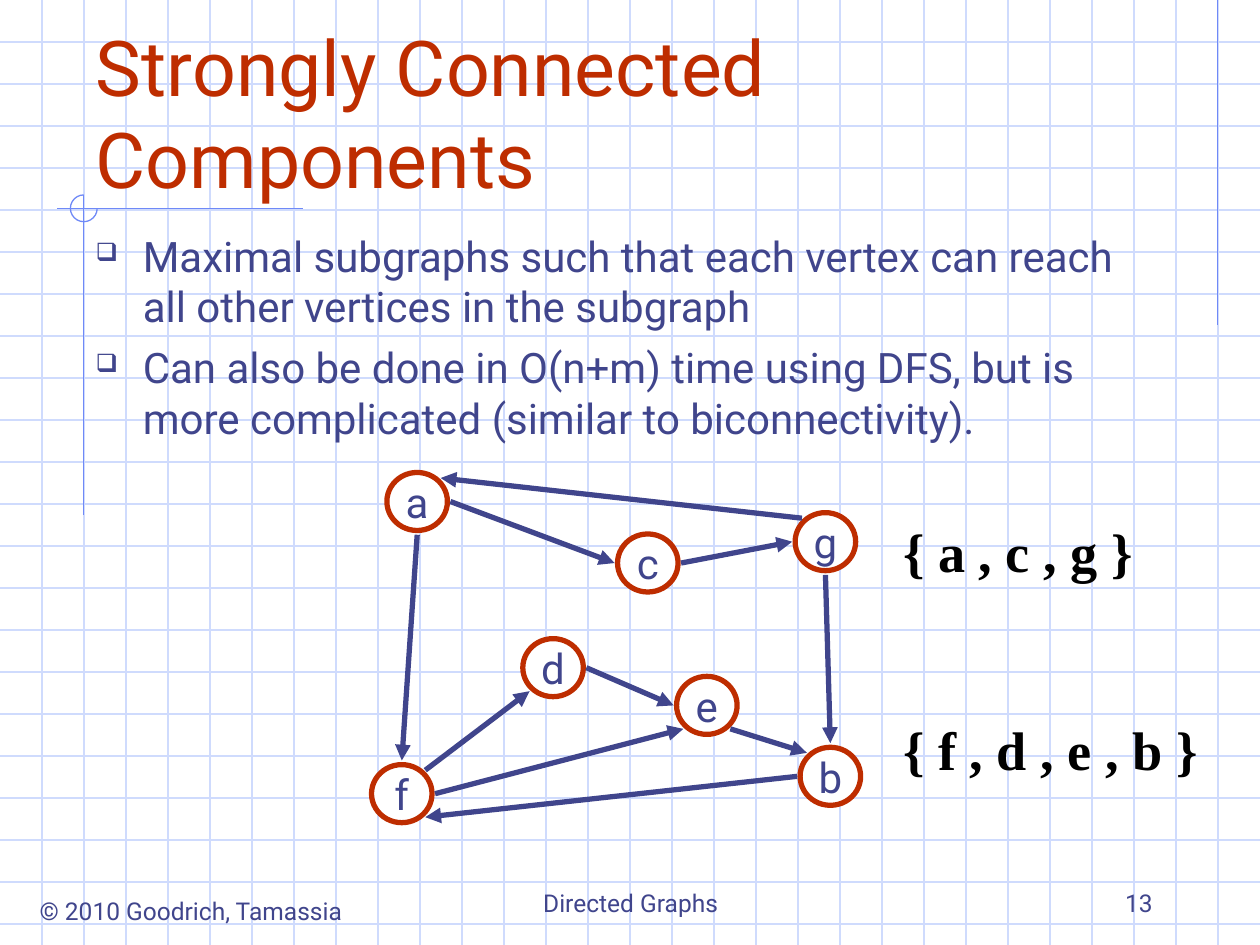
from lxml.etree import SubElement
from pptx import Presentation
from pptx.dml.color import RGBColor
from pptx.enum.shapes import MSO_CONNECTOR, MSO_SHAPE
from pptx.enum.text import MSO_ANCHOR, MSO_AUTO_SIZE, PP_ALIGN
from pptx.oxml.ns import qn
from pptx.util import Cm, Pt

# Content
TITLE = "Strongly Connected Components"
POINTS = [
    "Maximal subgraphs such that each vertex can reach all other vertices in the subgraph",
    "Can also be done in O(n+m) time using DFS, but is more complicated "
    "(similar to biconnectivity).",
]
SETS = [("{ a , c , g }", 10.44), ("{ f , d , e , b }", 14.43)]  # text, top
FOOT = [  # text, box, alignment, anchor
    ("© 2010 Goodrich, Tamassia", (0.41, 17.93, 6.88, 0.86), PP_ALIGN.CENTER, MSO_ANCHOR.TOP),
    ("Directed Graphs", (8.69, 17.35, 8.05, 1.27), PP_ALIGN.CENTER, MSO_ANCHOR.BOTTOM),
    ("13", (18.21, 17.35, 5.28, 1.27), PP_ALIGN.RIGHT, MSO_ANCHOR.BOTTOM),
]
NODES = {  # vertex: centre
    "a": (8.41, 10.11), "d": (11.15, 13.46), "c": (13.06, 11.35),
    "b": (16.74, 15.65), "e": (14.25, 14.22), "f": (8.1, 16), "g": (16.64, 10.92),
}
EDGES = [  # vertex and side at each end
    ("a", "S", "f", "N"), ("a", "E", "c", "W"), ("g", "NW", "a", "NE"),
    ("c", "E", "g", "W"), ("g", "S", "b", "N"), ("d", "E", "e", "W"),
    ("e", "SE", "b", "NW"), ("f", "NE", "d", "SW"), ("f", "E", "e", "SW"),
    ("b", "W", "f", "SE"),
]

THEME = {
    "font": "Roboto", "serif": "Times New Roman",
    "ink": "40458C", "red": "BE2D00", "grid": "CFDBFD", "rule": "6F89F7",
    "white": "FFFFFF", "black": "000000",
    "head": 44, "set": 31, "body": 24, "foot": 14, "thin": 0.75, "thick": 3,
}
WIDE, HIGH, STEP = 25.4, 19.05, 25.4 / 30
NODE_W, NODE_H, REACH = 1.22, 1.17, 0.67
SIDES = {"N": (0, -1), "S": (0, 1), "E": (1, 0), "W": (-1, 0)}


def color(name):
    return RGBColor.from_string(THEME[name])


def style(para, size, ink="ink", font="font", bold=False):
    para.font.name = THEME[font]
    para.font.size = Pt(THEME[size])
    para.font.color.rgb = color(ink)
    para.font.bold = bold


def stroke(shape, ink, width):
    shape.line.color.rgb = color(ink)
    shape.line.width = Pt(THEME[width])


def draw_line(shapes, start, end, ink, width="thin", arrow=False):
    line = shapes.add_connector(MSO_CONNECTOR.STRAIGHT, *map(Cm, start + end))
    stroke(line, ink, width)
    props = line.element.spPr
    if arrow:
        SubElement(props.get_or_add_ln(), qn("a:tailEnd"), type="triangle")
    SubElement(props, qn("a:effectLst"))


def add_text(shapes, box, text, size, align=PP_ALIGN.LEFT, anchor=MSO_ANCHOR.TOP, **look):
    frame = shapes.add_textbox(*map(Cm, box)).text_frame
    frame.word_wrap = True
    frame.vertical_anchor = anchor
    para = frame.paragraphs[0]
    para.text, para.alignment = text, align
    style(para, size, **look)
    return frame


def add_bullet(para):
    props = para._p.get_or_add_pPr()
    props.set("marL", str(Cm(0.95)))
    props.set("indent", str(Cm(-0.95)))
    tint = SubElement(props, qn("a:buClr"))
    SubElement(tint, qn("a:srgbClr"), val=THEME["ink"])
    SubElement(props, qn("a:buSzPct"), val="60000")
    SubElement(props, qn("a:buChar"), char="❑")


def find_port(node, side):
    x, y = NODES[node]
    scale = REACH / len(side) ** 0.5
    return (x + scale * sum(SIDES[s][0] for s in side),
            y + scale * sum(SIDES[s][1] for s in side))


def draw_back(shapes):
    # Squared paper
    for i in range(1, 23):
        draw_line(shapes, (0, i * STEP), (WIDE, i * STEP), "grid")
    for i in range(1, 30):
        draw_line(shapes, (i * STEP, 0), (i * STEP, HIGH), "grid")
    # Margin rules and corner arc
    draw_line(shapes, (24.55, 0), (24.55, 6.55), "rule")
    draw_line(shapes, (6.1, 4.21), (1.14, 4.21), "rule")
    draw_line(shapes, (1.69, 3.94), (1.69, 10.39), "rule")
    arc = shapes.add_shape(MSO_SHAPE.ARC, Cm(1.42), Cm(3.93), Cm(0.54), Cm(0.54))
    arc.adjustments[0], arc.adjustments[1] = 0, 162
    arc.shadow.inherit = False
    arc.fill.background()
    stroke(arc, "rule", "thin")


def draw_words(slide):
    shapes = slide.shapes
    # Footer
    for text, box, align, anchor in FOOT:
        add_text(shapes, box, text, "foot", align, anchor)
    # Bullets
    frame = shapes.add_textbox(Cm(1.68), Cm(4.52), Cm(21.62), Cm(6.68)).text_frame
    frame.word_wrap = True
    for i, text in enumerate(POINTS):
        para = frame.add_paragraph() if i else frame.paragraphs[0]
        para.text = text
        add_bullet(para)
        if i:
            para.space_before = Pt(6)
        style(para, "body")
    # Title, in front of the grid
    title = shapes.title
    title.left, title.top, title.width, title.height = map(Cm, (1.68, 0.43, 20.55, 3.81))
    frame = title.text_frame
    frame.text = TITLE
    frame.auto_size = MSO_AUTO_SIZE.NONE
    frame.vertical_anchor = MSO_ANCHOR.BOTTOM
    frame.paragraphs[0].alignment = PP_ALIGN.LEFT
    style(frame.paragraphs[0], "head", "red")
    title.element.getparent().append(title.element)
    # Component sets, each on one line
    for text, top in SETS:
        frame = add_text(shapes, (18.21, top, 6.8, 1.32), text, "set",
                         ink="black", font="serif", bold=True)
        frame.margin_left = frame.margin_right = frame.margin_top = frame.margin_bottom = 0


def draw_graph(shapes):
    # Vertices
    for name, (x, y) in NODES.items():
        node = shapes.add_shape(MSO_SHAPE.OVAL, Cm(x - NODE_W / 2), Cm(y - NODE_H / 2),
                                Cm(NODE_W), Cm(NODE_H))
        node.shadow.inherit = False
        node.fill.solid()
        node.fill.fore_color.rgb = color("white")
        stroke(node, "red", "thick")
        frame = node.text_frame
        frame.text = name
        frame.word_wrap = False
        frame.vertical_anchor = MSO_ANCHOR.MIDDLE
        frame.paragraphs[0].alignment = PP_ALIGN.CENTER
        style(frame.paragraphs[0], "body")
    # Edges
    for tail, out, head, into in EDGES:
        draw_line(shapes, find_port(tail, out), find_port(head, into), "ink", "thick", True)


def main():
    deck = Presentation()
    deck.slide_width, deck.slide_height = Cm(WIDE), Cm(HIGH)
    slide = deck.slides.add_slide(deck.slide_layouts[5])
    draw_back(slide.shapes)
    draw_words(slide)
    draw_graph(slide.shapes)
    deck.save("out.pptx")


if __name__ == "__main__":
    main()
